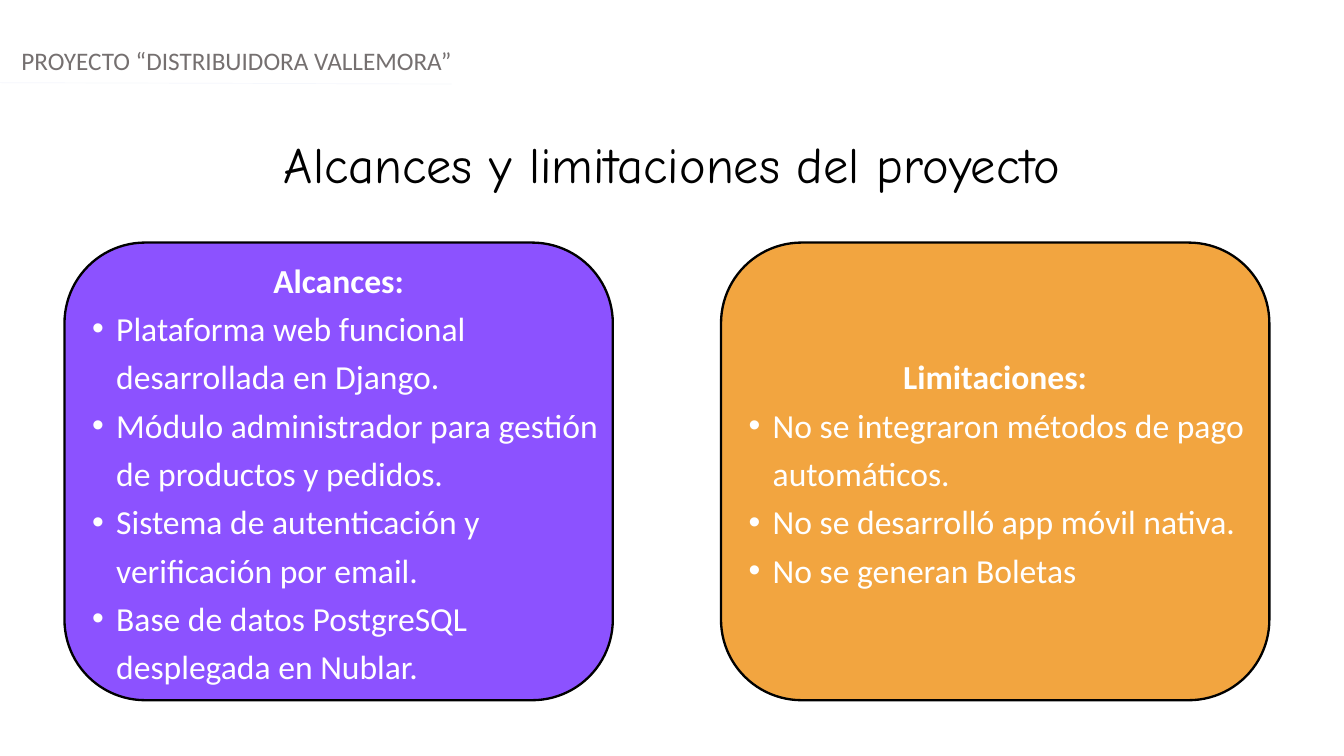
from lxml import etree
from pptx import Presentation
from pptx.dml.color import RGBColor
from pptx.enum.shapes import MSO_CONNECTOR, MSO_SHAPE
from pptx.enum.text import MSO_ANCHOR, MSO_AUTO_SIZE, PP_ALIGN
from pptx.oxml.ns import qn
from pptx.util import Inches, Pt

STRAIGHT = MSO_CONNECTOR.STRAIGHT
ROUNDED = MSO_SHAPE.ROUNDED_RECTANGLE
TOP, MIDDLE = MSO_ANCHOR.TOP, MSO_ANCHOR.MIDDLE
LEFT, CENTER = PP_ALIGN.LEFT, PP_ALIGN.CENTER
NO_AUTOFIT = MSO_AUTO_SIZE.NONE

PURPLE = RGBColor(0x8C, 0x52, 0xFF)
ORANGE = RGBColor(0xF2, 0xA5, 0x40)
WHITE = RGBColor(0xFF, 0xFF, 0xFF)
BLACK = RGBColor(0, 0, 0)
GRAY = RGBColor(0x75, 0x70, 0x70)
PALE = RGBColor(0xF5, 0xF7, 0xFC)

# Content
PROJECT = "PROYECTO “DISTRIBUIDORA VALLEMORA”"
TITLE = "Alcances y limitaciones del proyecto"
CARDS = [
    ("Alcances:", PURPLE, [
        "Plataforma web funcional desarrollada en Django.",
        "Módulo administrador para gestión de productos y pedidos.",
        "Sistema de autenticación y verificación por email.",
        "Base de datos PostgreSQL desplegada en Nublar.",
    ]),
    ("Limitaciones:", ORANGE, [
        "No se integraron métodos de pago automáticos.",
        "No se desarrolló app móvil nativa.",
        "No se generan Boletas",
    ]),
]

# Layout, in inches
SLIDE_W, SLIDE_H = 20, 11.25
CARD_LEFT, CARD_TOP, CARD_W, CARD_H = 0.96, 3.61, 8.16, 6.81
CARD_STEP = 9.77
CORNER = 1.2
TEXT_RISE = 0.07
TEXT_INSET = 0.06
BULLET_LEFT, BULLET_HANG = 0.71, 0.36


def set_frame(frame, anchor, inset):
    frame.word_wrap = True
    frame.auto_size = NO_AUTOFIT
    frame.vertical_anchor = anchor
    frame.margin_left = frame.margin_right = Inches(inset)
    frame.margin_top = frame.margin_bottom = Inches(inset)


def write(paragraph, text, size, font_name, color, align=LEFT, bold=False):
    paragraph.alignment = align
    paragraph.line_spacing = 1.2
    paragraph.space_before = Pt(0)
    run = paragraph.add_run()
    run.text = text
    run.font.size = Pt(size)
    run.font.name = font_name
    run.font.bold = bold
    run.font.color.rgb = color
    return run


def add_bullet(paragraph):
    properties = paragraph._p.get_or_add_pPr()
    properties.set("marL", str(Inches(BULLET_LEFT)))
    properties.set("indent", str(-Inches(BULLET_HANG)))
    bullet_color = etree.SubElement(properties, qn("a:buClr"))
    etree.SubElement(bullet_color, qn("a:srgbClr"), val=str(WHITE))
    etree.SubElement(properties, qn("a:buFont"), typeface="Arial")
    etree.SubElement(properties, qn("a:buChar"), char="•")


def add_text_shadow(run):
    effects = etree.Element(qn("a:effectLst"))
    shadow = etree.SubElement(effects, qn("a:outerShdw"), blurRad="38100",
                              dist="38100", dir="2700000", algn="tl")
    shadow_color = etree.SubElement(shadow, qn("a:srgbClr"), val=str(BLACK))
    etree.SubElement(shadow_color, qn("a:alpha"), val="43000")
    run.font.fill._xPr.find(qn("a:solidFill")).addnext(effects)


def add_card(slide, left, heading, color, items):
    card = slide.shapes.add_shape(ROUNDED, Inches(left), Inches(CARD_TOP),
                                  Inches(CARD_W), Inches(CARD_H))
    card.adjustments[0] = CORNER / CARD_H
    card.shadow.inherit = False
    card.fill.solid()
    card.fill.fore_color.rgb = color
    card.line.color.rgb = BLACK
    card.line.width = Pt(2.5)

    # The text spans the full card width, past the rounded corners
    body = slide.shapes.add_textbox(
        Inches(left), Inches(CARD_TOP - TEXT_RISE),
        Inches(CARD_W), Inches(CARD_H + TEXT_RISE)).text_frame
    set_frame(body, MIDDLE, TEXT_INSET)
    write(body.paragraphs[0], heading, 36, "Calibri", WHITE, CENTER, bold=True)
    for item in items:
        paragraph = body.add_paragraph()
        add_bullet(paragraph)
        write(paragraph, item, 36, "Calibri", WHITE)


def main():
    prs = Presentation()
    prs.slide_width, prs.slide_height = Inches(SLIDE_W), Inches(SLIDE_H)
    slide = prs.slides.add_slide(prs.slide_layouts[5])

    # Header rule
    rule = slide.shapes.add_connector(STRAIGHT, 0, Inches(1.23),
                                      Inches(6.72), Inches(1.25))
    rule.line.color.rgb = PALE
    rule.line.width = Pt(0.75)
    etree.SubElement(rule._element.spPr, qn("a:effectLst"))

    # Cards
    for column, (heading, color, items) in enumerate(CARDS):
        add_card(slide, CARD_LEFT + column * CARD_STEP, heading, color, items)

    # Title
    title = slide.shapes.title
    title.left, title.top = Inches(0.1), Inches(1.8)
    title.width, title.height = Inches(SLIDE_W - 0.2), Inches(0.91)
    set_frame(title.text_frame, TOP, 0)
    add_text_shadow(write(title.text_frame.paragraphs[0], TITLE, 54,
                          "Comic Neue", BLACK, CENTER))

    # Project name
    project = slide.shapes.add_textbox(Inches(0.32), Inches(0.59),
                                       Inches(SLIDE_W / 2), Inches(0.57))
    set_frame(project.text_frame, TOP, 0)
    write(project.text_frame.paragraphs[0], PROJECT, 27, "Calibri", GRAY)

    prs.save("out.pptx")


if __name__ == "__main__":
    main()
